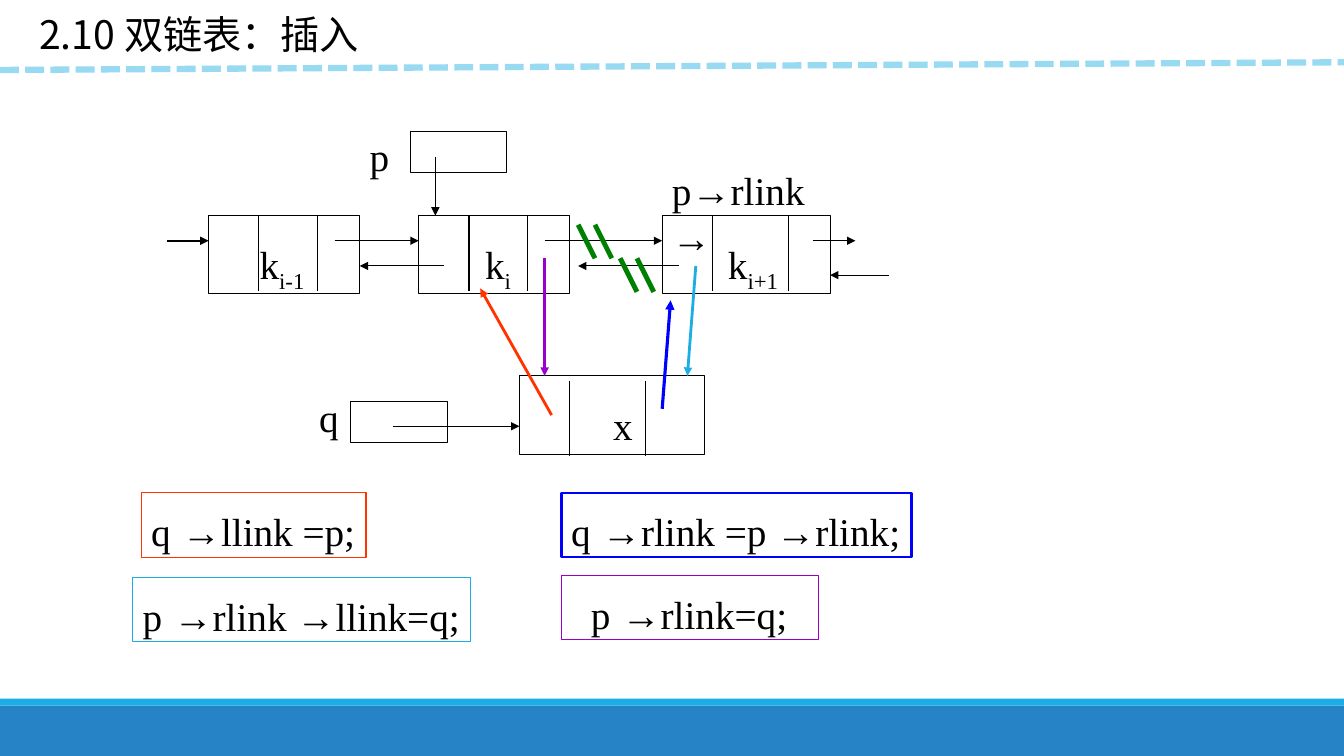
from pptx import Presentation
from pptx.dml.color import RGBColor
from pptx.enum.dml import MSO_LINE
from pptx.enum.shapes import MSO_CONNECTOR, MSO_SHAPE
from pptx.enum.text import MSO_ANCHOR, MSO_AUTO_SIZE, PP_ALIGN
from pptx.oxml.ns import qn
from pptx.util import Pt
from lxml.etree import SubElement

HUES = {"black": "000000", "white": "FFFFFF", "red": "FF3300", "blue": "0000FF",
        "cyan": "1CADE4", "purple": "9900CC", "green": "008000",
        "base": "2683C6", "pale": "99DAF3"}
SERIF, SANS = "Times New Roman", "Noto Sans CJK SC"
TITLE = "2.10 双链表：插入"

# Bars: top, height, colour
BARS = [(504, 36, "base"), (499, 5, "cyan")]
# Nodes: left, top, width, text inset, label, subscript, second divider, divider drop
NODES = [
    (149, 154, 108, 36.5, "k", "i-1", 78, 0),
    (299, 154, 108, 47.5, "k", "i", 78, 0),
    (473, 154, 120, 47, "k", "i+1", 90, 0),
    (371, 268.5, 132, 67, "x", "", 90, 3.5),
]
# Pointer cells: left, top
CELLS = [(293, 94), (250.5, 286.5)]
# Labels: left, top, width, height, text
LABELS = [
    (257, 88.5, 29, 41, "p"),
    (221, 275, 29, 41, "q"),
    (473, 113, 143, 75, "p→rlink\n→"),
]
# Arrows: start, end, colour, weight
ARROWS = [
    ((239, 172), (299, 172), "black", 0.75),
    ((389, 172), (473, 172), "black", 0.75),
    ((581, 172), (611, 172), "black", 0.75),
    ((635, 196.5), (593, 196.5), "black", 0.75),
    ((485, 190), (413, 190), "black", 0.75),
    ((317, 190), (257, 190), "black", 0.75),
    ((119, 172), (149, 172), "black", 1.5),
    ((311, 112), (311, 154), "black", 0.75),
    ((281, 304.5), (371, 304.5), "black", 0.75),
    ((394, 296.5), (343, 206), "red", 2),
    ((473, 292), (479, 214.5), "blue", 2.25),
    ((497, 190), (491, 268.5), "cyan", 2),
    ((389, 184.5), (389, 268.5), "purple", 2),
]
# Statements: left, top, width, inset, first letter, rest, colour, weight
CODE = [
    (101, 352, 160.5, 7, "q", "→llink =p;", "red", 0.75),
    (401, 352, 250, 7, "q", "→rlink =p →rlink;", "blue", 1.75),
    (95, 412.5, 241, 7, "p", "→rlink →llink=q;", "cyan", 0.75),
    (401, 411, 183.5, 21, "p", "→rlink=q;", "purple", 0.75),
]
# Cut marks: left, top of each pair
CUTS = [(413, 160.5), (443, 184.5)]

deck = Presentation()
deck.slide_width, deck.slide_height = Pt(960), Pt(540)
slide = deck.slides.add_slide(deck.slide_layouts[5])


def hue(name):
    return RGBColor.from_string(HUES[name])


def rect(x, y, w, h, fill="white", edge=None, weight=0.75):
    box = slide.shapes.add_shape(MSO_SHAPE.RECTANGLE, Pt(x), Pt(y), Pt(w), Pt(h))
    box.shadow.inherit = False
    box.fill.solid()
    box.fill.fore_color.rgb = hue(fill)
    if edge:
        box.line.color.rgb = hue(edge)
        box.line.width = Pt(weight)
    else:
        box.line.fill.background()
    return box


def line(start, end, color="black", weight=0.75, head=False):
    link = slide.shapes.add_connector(
        MSO_CONNECTOR.STRAIGHT, *[Pt(v) for v in (*start, *end)])
    link.line.color.rgb = hue(color)
    link.line.width = Pt(weight)
    if head:
        SubElement(link.line._get_or_add_ln(), qn("a:tailEnd"), type="triangle")
    SubElement(link._element.spPr, qn("a:effectLst"))
    return link


def frame(box, left, top, wrap=False):
    text = box.text_frame
    text.word_wrap = wrap
    text.auto_size = MSO_AUTO_SIZE.NONE
    text.vertical_anchor = MSO_ANCHOR.TOP
    text.margin_left, text.margin_top = Pt(left), Pt(top)
    text.margin_right = text.margin_bottom = 0
    return text


def style(para, face=SERIF):
    para.alignment = PP_ALIGN.LEFT
    para.font.size = Pt(28)
    para.font.name = face
    para.font.color.rgb = hue("black")


# Footer bars and title
for y, h, color in BARS:
    rect(0, y, 960, h, color)
title = slide.shapes.title
title.left, title.top, title.width, title.height = Pt(15), Pt(4), Pt(284), Pt(41)
head = frame(title, 13, 0)
head.vertical_anchor = MSO_ANCHOR.MIDDLE
head.text = TITLE
style(head.paragraphs[0], SANS)
for run in head.paragraphs[0].runs:
    SubElement(run._r.get_or_add_rPr(), qn("a:ea"), typeface=SANS)

# List nodes with their dividers
for x, y, w, inset, name, sub, split, drop in NODES:
    para = frame(rect(x, y, w, 56, edge="black"), inset, 18).paragraphs[0]
    para.add_run().text = name
    if sub:
        low = para.add_run()
        low.text = sub
        low.font._element.set("baseline", "-25000")
    style(para)
    for dx in (36, split):
        line((x + dx, y + drop), (x + dx, y + drop + 54))

# Pointer cells and labels
for x, y in CELLS:
    rect(x, y, 69, 29.5, edge="black")
for x, y, w, h, words in LABELS:
    text = frame(slide.shapes.add_textbox(Pt(x), Pt(y), Pt(w), Pt(h)), 7, 6)
    text.text = words
    for para in text.paragraphs:
        style(para)

# Statements, with a wider gap after the first letter
for x, y, w, inset, first, rest, color, weight in CODE:
    box = rect(x, y, w, 46, edge=color, weight=weight)
    para = frame(box, inset, 6.5).paragraphs[0]
    for words, size in ((first, 28), (" ", 32), (rest, 28)):
        run = para.add_run()
        run.text = words
        run.font.size = Pt(size)
    style(para)

# Arrows, cut marks and title rule
for start, end, color, weight in ARROWS:
    line(start, end, color, weight, head=True)
for x, y in CUTS:
    for dx in (0, 12):
        line((x + dx, y), (x + dx + 12, y + 24), "green", 3.5)
rule = line((0, 50), (960, 44.5), "pale", 4.5)
rule.line.dash_style = MSO_LINE.SQUARE_DOT

deck.save("out.pptx")
